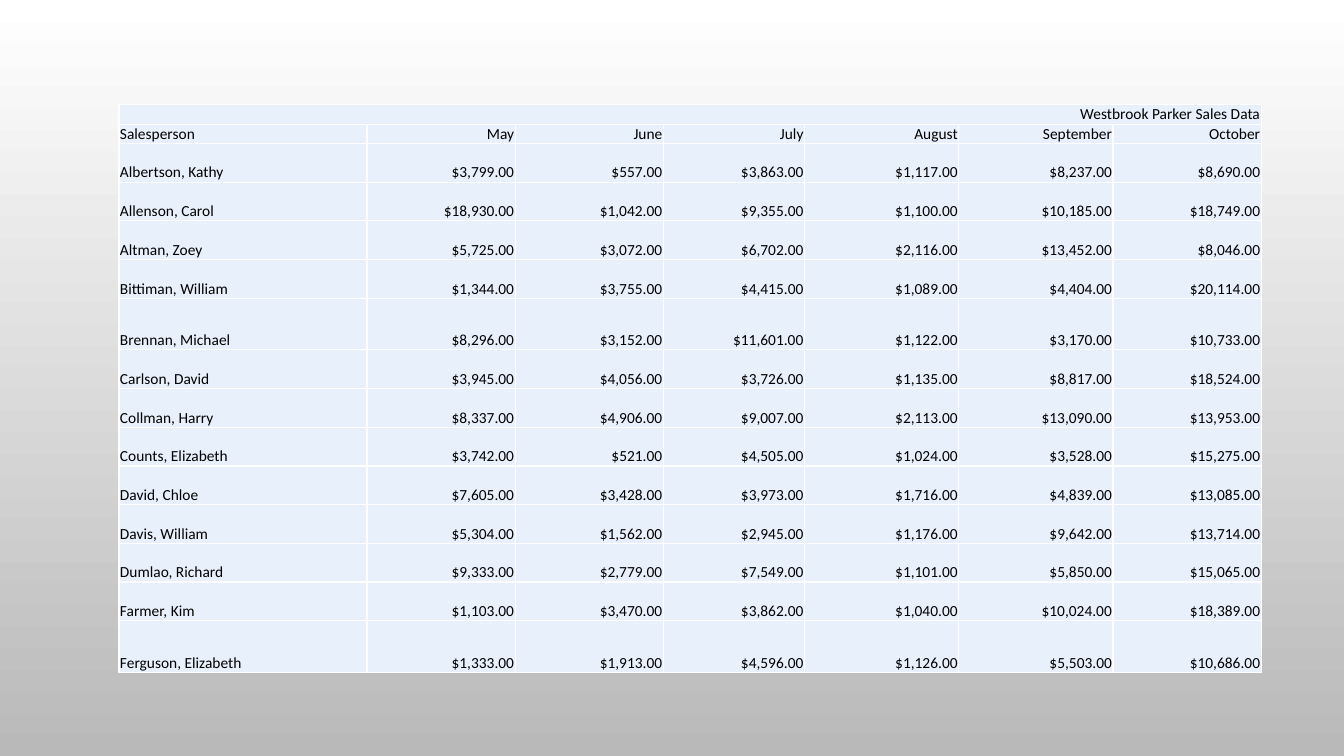
import lxml.etree
import pptx
import pptx.dml.color
import pptx.enum.text
import pptx.oxml.ns
import pptx.util

Inches = pptx.util.Inches
Anchor = pptx.enum.text.MSO_ANCHOR
Align = pptx.enum.text.PP_ALIGN

COLORS = {
    "top": "FFFFFF",
    "bottom": "B9B9B9",
    "cell": "E8F0FC",
    "border": "FFFFFF",
    "text": "000000",
}
TITLE = "Westbrook Parker Sales Data"
HEADERS = ["Salesperson", "May", "June", "July", "August", "September", "October"]
SALES = [
    ("Albertson, Kathy", 3799, 557, 3863, 1117, 8237, 8690),
    ("Allenson, Carol", 18930, 1042, 9355, 1100, 10185, 18749),
    ("Altman, Zoey", 5725, 3072, 6702, 2116, 13452, 8046),
    ("Bittiman, William", 1344, 3755, 4415, 1089, 4404, 20114),
    ("Brennan, Michael", 8296, 3152, 11601, 1122, 3170, 10733),
    ("Carlson, David", 3945, 4056, 3726, 1135, 8817, 18524),
    ("Collman, Harry", 8337, 4906, 9007, 2113, 13090, 13953),
    ("Counts, Elizabeth", 3742, 521, 4505, 1024, 3528, 15275),
    ("David, Chloe", 7605, 3428, 3973, 1716, 4839, 13085),
    ("Davis, William", 5304, 1562, 2945, 1176, 9642, 13714),
    ("Dumlao, Richard", 9333, 2779, 7549, 1101, 5850, 15065),
    ("Farmer, Kim", 1103, 3470, 3862, 1040, 10024, 18389),
    ("Ferguson, Elizabeth", 1333, 1913, 4596, 1126, 5503, 10686),
]
COLUMN_WIDTHS = [2.46, 1.47, 1.47, 1.4, 1.53, 1.53, 1.47]
TALL_ROWS = ("Brennan, Michael", "Ferguson, Elizabeth")
ROW_WEIGHTS = [1.5, 1.5] + [4 if row[0] in TALL_ROWS else 3 for row in SALES]
TABLE_HEIGHT = 5.63


class SalesSlide:
    """Holds the table style and the slide being built."""

    def __init__(self, presentation):
        self.slide = presentation.slides.add_slide(presentation.slide_layouts[6])
        self.font_name = "Calibri"
        self.font_size = pptx.util.Pt(11)
        self.border_width = pptx.util.Pt(1)

    def color(self, name):
        return pptx.dml.color.RGBColor.from_string(COLORS[name])

    def add_background(self):
        fill = self.slide.background.fill
        fill.gradient()
        fill.gradient_angle = 270
        for stop, position, name in zip(fill.gradient_stops, (0, 1), ("top", "bottom")):
            stop.position = position
            stop.color.rgb = self.color(name)

    def add_table(self, rows, left, top, height, widths, weights):
        frame = self.slide.shapes.add_table(
            len(rows), len(widths), Inches(left), Inches(top),
            Inches(sum(widths)), Inches(height))
        table = frame.table
        table.first_row = table.horz_banding = False
        for column, width in zip(table.columns, widths):
            column.width = Inches(width)
        for table_row, weight in zip(table.rows, weights):
            table_row.height = Inches(height * weight / sum(weights))
        for row_index, values in enumerate(rows):
            for column_index, value in enumerate(values):
                self.format_cell(table.cell(row_index, column_index), value,
                                 Align.RIGHT if column_index else Align.LEFT)
        return table

    def format_cell(self, cell, value, alignment):
        cell.text = value if isinstance(value, str) else f"${value:,.2f}"
        cell.margin_left = cell.margin_right = Inches(0.01)
        cell.margin_top = cell.margin_bottom = 0
        cell.vertical_anchor = Anchor.BOTTOM
        cell.fill.solid()
        cell.fill.fore_color.rgb = self.color("cell")
        paragraph = cell.text_frame.paragraphs[0]
        paragraph.alignment = alignment
        paragraph.font.name = self.font_name
        paragraph.font.size = self.font_size
        paragraph.font.color.rgb = self.color("text")
        self.add_borders(cell)

    def add_borders(self, cell):
        qn = pptx.oxml.ns.qn
        properties = cell._tc.get_or_add_tcPr()
        for index, side in enumerate(("lnL", "lnR", "lnT", "lnB")):
            line = lxml.etree.Element(qn(f"a:{side}"), w=str(self.border_width))
            fill = lxml.etree.SubElement(line, qn("a:solidFill"))
            lxml.etree.SubElement(fill, qn("a:srgbClr"), val=COLORS["border"])
            properties.insert(index, line)


def main():
    presentation = pptx.Presentation()
    presentation.slide_width = Inches(13.33)
    presentation.slide_height = Inches(7.5)
    sales_slide = SalesSlide(presentation)
    sales_slide.add_background()
    title_row = [TITLE] + [""] * (len(HEADERS) - 1)
    table = sales_slide.add_table([title_row, HEADERS, *SALES], 1.18, 1.04,
                                  TABLE_HEIGHT, COLUMN_WIDTHS, ROW_WEIGHTS)
    title_cell = table.cell(0, 0)
    title_cell.merge(table.cell(0, len(HEADERS) - 1))
    title_cell.vertical_anchor = Anchor.MIDDLE
    title_cell.text_frame.paragraphs[0].alignment = Align.RIGHT
    presentation.save("out.pptx")


if __name__ == "__main__":
    main()
